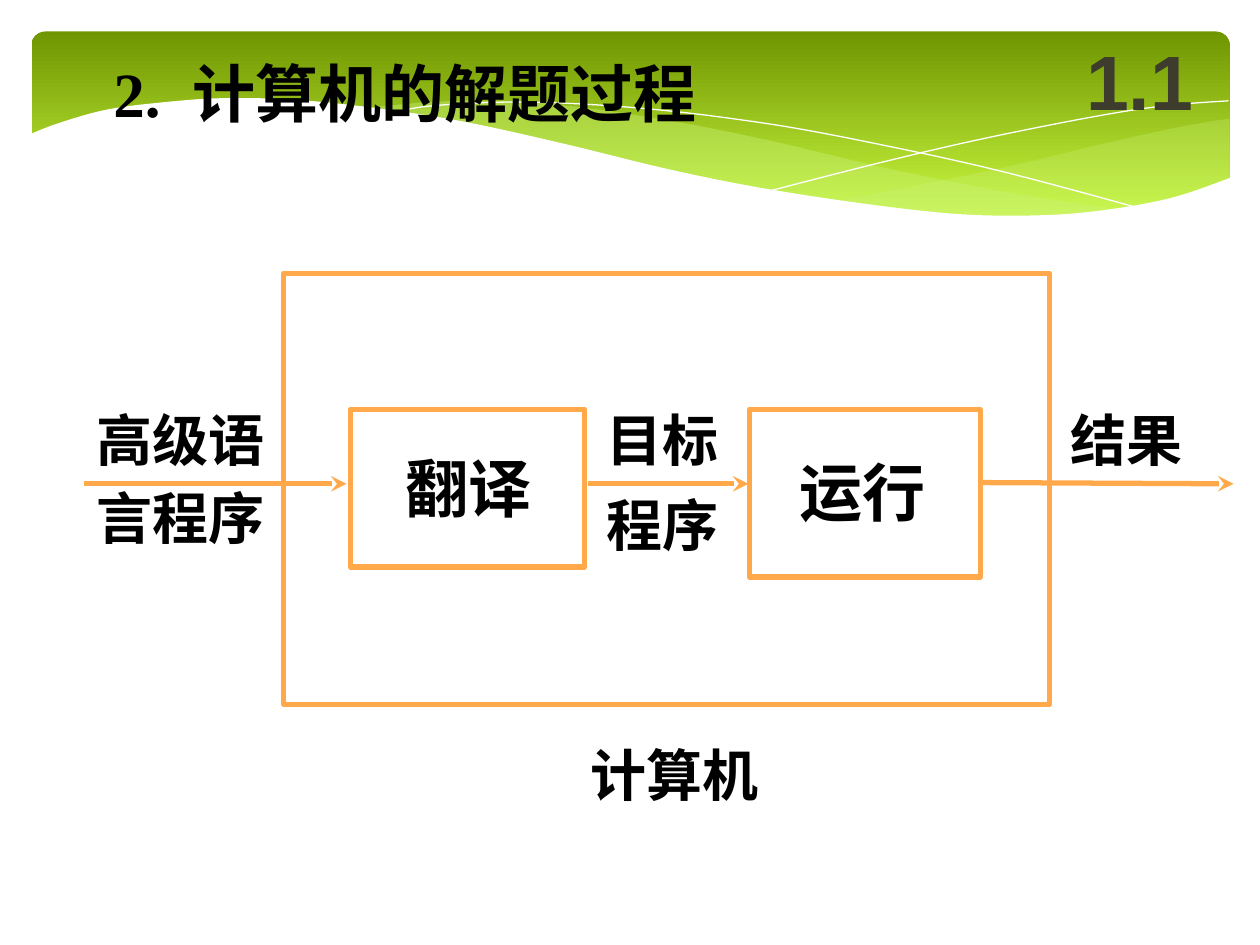
from lxml import etree
from pptx import Presentation
from pptx.dml.color import RGBColor
from pptx.enum.shapes import MSO_CONNECTOR, MSO_SHAPE
from pptx.enum.text import MSO_ANCHOR, MSO_AUTO_SIZE, PP_ALIGN
from pptx.oxml.ns import qn
from pptx.util import Inches, Pt

STRAIGHT = MSO_CONNECTOR.STRAIGHT
RECT, ROUNDED = MSO_SHAPE.RECTANGLE, MSO_SHAPE.ROUNDED_RECTANGLE
TOP, MIDDLE = MSO_ANCHOR.TOP, MSO_ANCHOR.MIDDLE
LEFT, CENTER = PP_ALIGN.LEFT, PP_ALIGN.CENTER
NO_AUTOFIT = MSO_AUTO_SIZE.NONE

CJK = "Noto Sans CJK SC"
SERIF = "Times New Roman"
ORANGE, BLACK, WHITE, LIME = "FFA94A", "000000", "FFFFFF", "CAF278"
PADDED, TIGHT = (0.1, 0.05), (0, 0)
STEPS = 6

BANNER = (0.25, 0.25, 9.51, 1.56)
BANNER_COLORS = ("6F9500", "D0FF44")

SWOOSHES = [
    {"fill": LIME, "alpha": 29, "curves": [
        [(9.76, 0.94), (9.35, 1.01), (8.76, 1.14), (8.05, 1.31), (7.29, 1.47), (6.61, 1.6)],
        [(6.61, 1.6), (7.05, 1.65), (7.57, 1.7), (8.14, 1.72), (8.72, 1.69), (9.28, 1.58), (9.76, 1.41)]]},
    {"fill": LIME, "alpha": 40, "curves": [
        [(8.93, 1.67), (8.07, 1.54), (7.06, 1.34), (6.13, 1.12), (5.27, 0.95), (4.41, 0.83),
         (3.61, 0.8), (2.86, 0.86)],
        [(2.86, 0.86), (3.62, 0.97), (4.49, 1.16), (5.3, 1.35), (6.18, 1.53), (7.09, 1.66),
         (7.85, 1.72), (8.38, 1.72), (8.93, 1.67)]]},
    {"line": WHITE, "curves": [
        [(3.09, 0.9), (3.43, 0.84), (4.16, 0.81), (5.1, 0.86), (6.08, 0.98), (6.95, 1.14),
         (7.95, 1.36), (9.07, 1.66)]]},
    {"line": WHITE, "curves": [
        [(6.13, 1.51), (6.95, 1.3), (7.76, 1.11), (8.66, 0.93), (9.24, 0.84), (9.75, 0.8)]]},
    {"fill": WHITE, "curves": [
        [(0.23, 1.07), (0.46, 0.98), (0.85, 0.87), (1.32, 0.81), (1.76, 0.78), (2.3, 0.79),
         (2.92, 0.85), (3.65, 0.96), (4.47, 1.14), (5.29, 1.34), (6.03, 1.49), (6.88, 1.62),
         (7.61, 1.7), (8.23, 1.71), (8.75, 1.67), (9.3, 1.57), (9.77, 1.41)],
        [(9.77, 2.24), (0.23, 2.24)]]},
]

FRAMES = [(2.25, 2.17, 6.08, 3.42), (2.78, 3.25, 1.86, 1.25), (5.95, 3.25, 1.83, 1.33)]
ARROWS = [((0.67, 3.84), (2.75, 3.84)), ((4.67, 3.84), (5.94, 3.84)), ((7.78, 3.83), (9.79, 3.84))]

LABELS = [
    ("计算机", (4.59, 5.83, 1.53, 0.64), 32, PADDED, CENTER),
    ("高级语", (0.77, 3.22, 1.34, 0.53), 32, TIGHT, LEFT),
    ("言程序", (0.67, 3.79, 1.53, 0.64), 32, PADDED, LEFT),
    ("目标", (4.81, 3.22, 0.89, 0.53), 32, TIGHT, LEFT),
    ("程序", (4.81, 3.89, 0.89, 0.53), 32, TIGHT, LEFT),
    ("结果", (8.5, 3.22, 1, 0.53), 32, TIGHT, LEFT),
    ("翻译", (3.12, 3.52, 1.2, 0.7), 36, PADDED, LEFT),
    ("运行", (6.25, 3.55, 1.2, 0.7), 36, PADDED, LEFT),
]
SECTION = ("1.1", (8.42, 0.17, 1.25, 0.92))
HEADING = (["2.", " ", "计算机的解题过程"], (0.8, 0.38, 6.37, 0.7))


def color(value):
    return RGBColor.from_string(value)


def inches(values):
    return [Inches(value) for value in values]


def smooth(points):
    if len(points) == 2:
        return points
    padded = [points[0], *points, points[-1]]
    curve = [points[0]]
    for a, b, c, d in zip(padded, padded[1:], padded[2:], padded[3:]):
        for step in range(1, STEPS + 1):
            t = step / STEPS
            curve.append(tuple(
                q + 0.5 * t * (r - p + t * (2 * p - 5 * q + 4 * r - s + t * (3 * (q - r) + s - p)))
                for p, q, r, s in zip(a, b, c, d)))
    return curve


def add_swoosh(slide, curves, fill=None, alpha=None, line=None):
    points = [inches(point) for curve in curves for point in smooth(curve)]
    builder = slide.shapes.build_freeform(*points[0])
    builder.add_line_segments(points[1:], close=fill is not None)
    swoosh = builder.convert_to_shape()
    swoosh.shadow.inherit = False
    if line:
        swoosh.fill.background()
        swoosh.line.color.rgb = color(line)
        swoosh.line.width = Pt(0)
        return
    swoosh.line.fill.background()
    swoosh.fill.solid()
    swoosh.fill.fore_color.rgb = color(fill)
    if alpha:
        tint = swoosh.fill._xPr.find(".//" + qn("a:srgbClr"))
        etree.SubElement(tint, qn("a:alpha"), val=str(alpha * 1000))


def add_banner(slide):
    banner = slide.shapes.add_shape(ROUNDED, *inches(BANNER))
    banner.adjustments[0] = 0.07
    banner.shadow.inherit = False
    banner.line.fill.background()
    banner.fill.gradient()
    banner.fill.gradient_angle = 270
    for stop, value in zip(banner.fill.gradient_stops, BANNER_COLORS):
        stop.color.rgb = color(value)
    for swoosh in SWOOSHES:
        add_swoosh(slide, **swoosh)


def add_frame(slide, place):
    frame = slide.shapes.add_shape(RECT, *inches(place))
    frame.shadow.inherit = False
    frame.fill.background()
    frame.line.color.rgb = color(ORANGE)
    frame.line.width = Pt(3)


def add_arrow(slide, start, end):
    arrow = slide.shapes.add_connector(STRAIGHT, *inches(start + end))
    arrow.line.color.rgb = color(ORANGE)
    arrow.line.width = Pt(3)
    etree.SubElement(arrow.line._get_or_add_ln(), qn("a:tailEnd"), type="stealth")
    etree.SubElement(arrow._element.spPr, qn("a:effectLst"))


def write(holder, parts, place, size, font=CJK, ink=BLACK, inset=PADDED, align=LEFT,
          anchor=TOP, wrap=False):
    holder.left, holder.top, holder.width, holder.height = inches(place)
    frame = holder.text_frame
    side, edge = inches(inset)
    frame_format = {"margin_left": side, "margin_right": side, "margin_top": edge,
                    "margin_bottom": edge, "vertical_anchor": anchor, "word_wrap": wrap,
                    "auto_size": NO_AUTOFIT}
    for key, value in frame_format.items():
        setattr(frame, key, value)
    paragraph = frame.paragraphs[0]
    paragraph.alignment = align
    for part in parts:
        run = paragraph.add_run()
        run.text = part
        for key, value in {"size": Pt(size), "bold": True, "name": font}.items():
            setattr(run.font, key, value)
        run.font.color.rgb = color(ink)
        etree.SubElement(run._r.rPr, qn("a:ea"), typeface=CJK)
    return paragraph


def main():
    deck = Presentation()
    deck.slide_width, deck.slide_height = inches((10, 7.5))
    slide = deck.slides.add_slide(deck.slide_layouts[5])
    add_banner(slide)
    for place in FRAMES:
        add_frame(slide, place)
    for start, end in ARROWS:
        add_arrow(slide, start, end)
    for label, place, size, inset, align in LABELS:
        write(slide.shapes.add_textbox(*inches(place)), [label], place, size, inset=inset, align=align)
    number, place = SECTION
    write(slide.shapes.add_textbox(*inches(place)), [number], place, 44, "Arial", "3E3D2D",
          align=CENTER, anchor=MIDDLE, wrap=True)
    title = slide.shapes.title
    title._element.getparent().append(title._element)
    heading = write(title, *HEADING, 36, SERIF, wrap=True)
    heading.runs[1]._r.rPr.set("spc", "900")
    deck.save("out.pptx")


if __name__ == "__main__":
    main()
